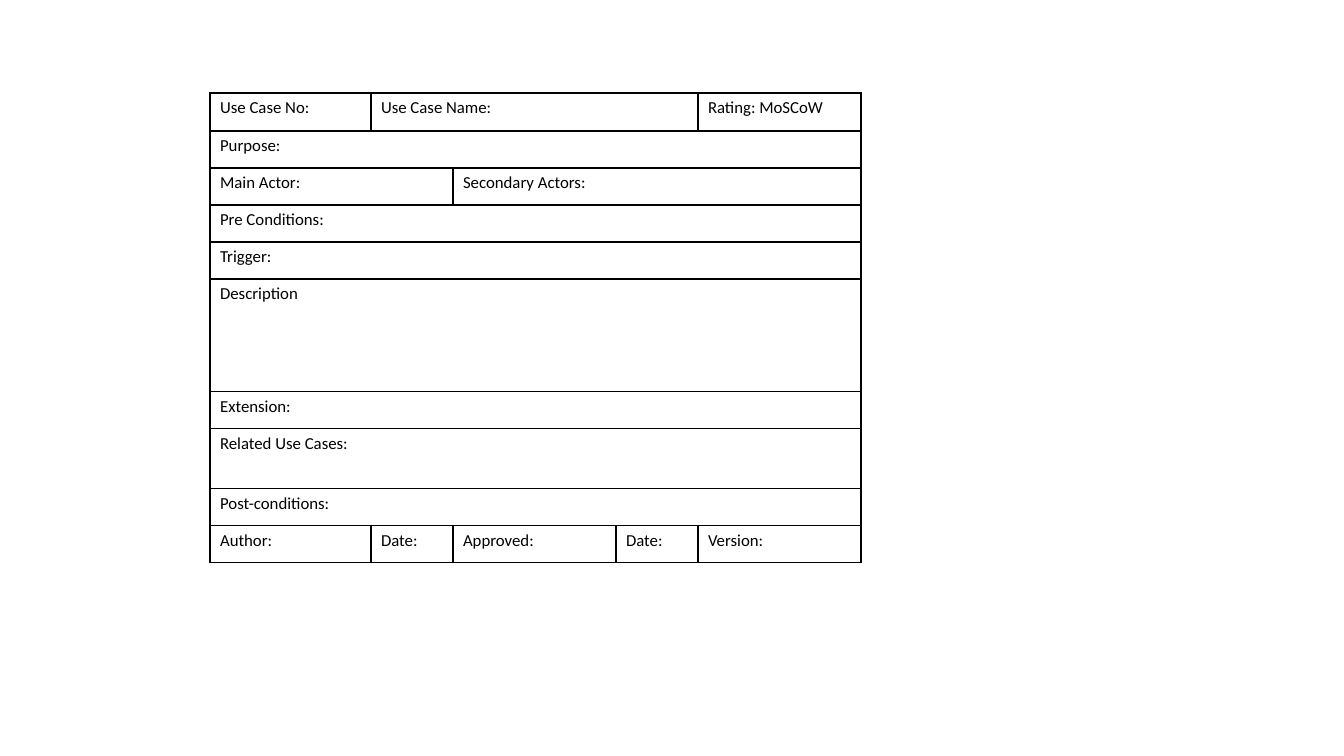
from lxml import etree
from pptx import Presentation
from pptx.dml.color import RGBColor
from pptx.oxml.ns import qn
from pptx.util import Pt

SCALE = 914400 / 100.8


def px(n):
    return round(n * SCALE)


def color(code):
    return RGBColor.from_string(code)


deck = Presentation()
deck.slide_width, deck.slide_height = px(1344), px(756)
slide = deck.slides.add_slide(deck.slide_layouts[6])

widths = [161, 82, 163, 82, 163]
heights = [38, 37, 37, 37, 37, 113, 37, 60, 37, 37]
rows = [
    [("Use Case No:", 1), ("Use Case Name:", 3), ("Rating: MoSCoW", 1)],
    [("Purpose:", 5)],
    [("Main Actor:", 2), ("Secondary Actors:", 3)],
    [("Pre Conditions:", 5)],
    [("Trigger:", 5)],
    [("Description", 5)],
    [("Extension:", 5)],
    [("Related Use Cases:", 5)],
    [("Post-conditions:", 5)],
    [("Author:", 1), ("Date:", 1), ("Approved:", 1), ("Date:", 1), ("Version:", 1)],
]

frame = slide.shapes.add_table(
    len(rows), len(widths), px(210), px(93), px(sum(widths)), px(sum(heights))
)
table = frame.table
table.first_row = False
table.horz_banding = False
for col, width in zip(table.columns, widths):
    col.width = px(width)
for row, height in zip(table.rows, heights):
    row.height = px(height)

for r, fields in enumerate(rows):
    c = 0
    for label, span in fields:
        cell = table.cell(r, c)
        if span > 1:
            cell.merge(table.cell(r, c + span - 1))
        run = cell.text_frame.paragraphs[0].add_run()
        run.text = label
        run.font.name = "Calibri"
        run.font.size = Pt(12)
        run.font.color.rgb = color("000000")
        c += span

for cell in table.iter_cells():
    cell.fill.solid()
    cell.fill.fore_color.rgb = color("FFFFFF")
    sides = ["lnT", "lnB"] if cell.is_spanned else ["lnL", "lnR", "lnT", "lnB"]
    props = cell._tc.get_or_add_tcPr()
    for i, side in enumerate(sides):
        line = etree.Element(qn("a:" + side), w=str(Pt(1)))
        fill = etree.SubElement(line, qn("a:solidFill"))
        etree.SubElement(fill, qn("a:srgbClr"), val="000000")
        props.insert(i, line)

deck.save("out.pptx")
